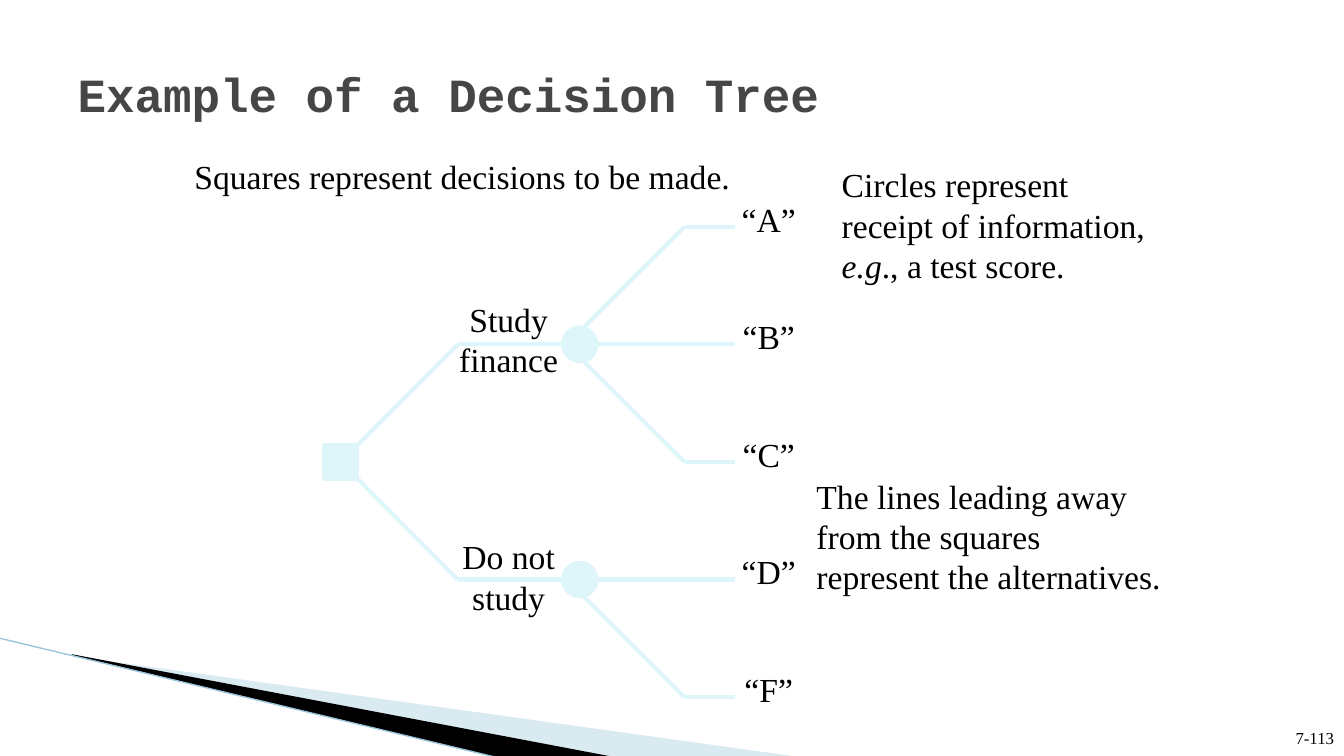
from pptx import Presentation
from pptx import util as u
from pptx.dml.color import RGBColor
from pptx.enum import shapes, text
from pptx.oxml.ns import qn
from lxml import etree

Inches = u.Inches
BRANCH = "DEF5FA"
BLACK = "000000"
SERIF = "Times New Roman"
ALIGN = text.PP_ALIGN


def rgb(value):
    return RGBColor.from_string(value)


class TreeSlide:
    """Holds the slide and draws its elements in one style."""

    def __init__(self, prs):
        self.slide = prs.slides.add_slide(prs.slide_layouts[5])
        self.shapes = self.slide.shapes

    def style(self, p, size, font, color, bold=False):
        for r in p.runs:
            r.font.size = u.Pt(size)
            r.font.name = font
            r.font.bold = bold
            r.font.color.rgb = rgb(color)

    def title(self, words, x, y, w, h):
        s = self.shapes.title
        s.left, s.top, s.width, s.height = map(Inches, (x, y, w, h))
        tf = s.text_frame
        tf.text = words
        tf.vertical_anchor = text.MSO_ANCHOR.MIDDLE
        p = tf.paragraphs[0]
        p.alignment = ALIGN.LEFT
        self.style(p, 34, "Courier New", "464646", bold=True)

    def label(self, parts, x, y, w, h, align=ALIGN.LEFT, size=24):
        """Add a text box; every second part is italic."""
        tf = self.shapes.add_textbox(*map(Inches, (x, y, w, h))).text_frame
        tf.word_wrap = True
        p = tf.paragraphs[0]
        p.alignment = align
        for i, part in enumerate(parts):
            r = p.add_run()
            r.text = part
            r.font.italic = i % 2 == 1
        self.style(p, size, SERIF, BLACK)

    def node(self, kind, cx, cy, size=0.33):
        box = (cx - size / 2, cy - size / 2, size, size)
        s = self.shapes.add_shape(kind, *map(Inches, box))
        s.shadow.inherit = False
        s.fill.solid()
        s.fill.fore_color.rgb = rgb(BRANCH)
        s.line.color.rgb = rgb(BRANCH)
        s.line.width = u.Pt(3)

    def line(self, x1, y1, x2, y2, color=BRANCH, width=3):
        s = self.shapes.add_connector(
            shapes.MSO_CONNECTOR.STRAIGHT, *map(Inches, (x1, y1, x2, y2)))
        s.line.color.rgb = rgb(color)
        s.line.width = u.Pt(width)
        etree.SubElement(s._element.spPr, qn("a:effectLst"))

    def wedge(self, points, color, opacity=100):
        start, *rest = [tuple(map(Inches, pt)) for pt in points]
        builder = self.shapes.build_freeform(*start)
        builder.add_line_segments(rest, close=True)
        s = builder.convert_to_shape()
        s.shadow.inherit = False
        s.fill.solid()
        s.fill.fore_color.rgb = rgb(color)
        s.line.fill.background()
        if opacity < 100:
            clr = s._element.spPr.find(".//" + qn("a:srgbClr"))
            etree.SubElement(clr, qn("a:alpha")).set("val", str(opacity * 1000))


def main():
    prs = Presentation()
    prs.slide_width, prs.slide_height = Inches(13.33), Inches(7.5)
    tree = TreeSlide(prs)

    tree.wedge([(0.73, 6.51), (7.93, 7.51), (6.08, 7.51), (0.73, 6.5)], "A0CBDC", 40)
    tree.wedge([(0.71, 6.49), (6.09, 7.51), (4.96, 7.52), (0.72, 6.5)], BLACK)
    tree.line(-0.01, 6.33, 4.95, 7.52, "97C5D8", 0.95)
    tree.label(["7-113"], 12.22, 7.17, 1.11, 0.3, ALIGN.RIGHT, 12)
    tree.title("Example of a Decision Tree", 0.67, 0.3, 12, 1.25)

    # Grades sit on five evenly spaced levels
    grades = "ABCDF"
    level = {grade: 2.25 + i * 3.5 / 3 for i, grade in enumerate(grades)}
    half = 0.17
    root_x, root_y = 3.38, level["C"]
    bend_x, chance_x, fork_x, tip_x = 4.54, 5.75, 6.79, 7.29

    # Each choice: words, box left, width and rise above its line, grades
    choices = [
        ("Study finance", 4.38, 1.33, 0.5, "B", "AC"),
        ("Do not study", 4.46, 1.17, 0.48, "D", "F"),
    ]
    for words, x, w, rise, straight, forks in choices:
        y = level[straight]
        side = 1 if y > root_y else -1
        tree.node(shapes.MSO_SHAPE.OVAL, chance_x, y)
        tree.line(root_x + half, root_y + side * half, bend_x, y)
        tree.line(bend_x, y, chance_x - half, y)
        tree.line(chance_x + half, y, tip_x, y)
        for grade in forks:
            end_y = level[grade]
            side = 1 if end_y > y else -1
            tree.line(chance_x + 0.04, y + side * half, fork_x, end_y)
            tree.line(fork_x, end_y, tip_x, end_y)
        tree.label([words], x, y - rise, w, 0.91, ALIGN.CENTER)
    tree.node(shapes.MSO_SHAPE.RECTANGLE, root_x, root_y)

    for grade in grades:
        tree.label([f"“{grade}”"], 7.21, level[grade] - 0.33, 0.83, 0.5, ALIGN.CENTER)

    tree.label(["Squares represent decisions to be made."], 1.83, 1.5, 6.33, 0.5)
    tree.label(["Circles represent receipt of information, ", "e.g", "., a test score."],
               8.25, 1.58, 3.25, 1.31)
    tree.label(["The lines leading away from the squares represent the alternatives."],
               8, 4.67, 3.67, 1.31)

    prs.save("out.pptx")


if __name__ == "__main__":
    main()
